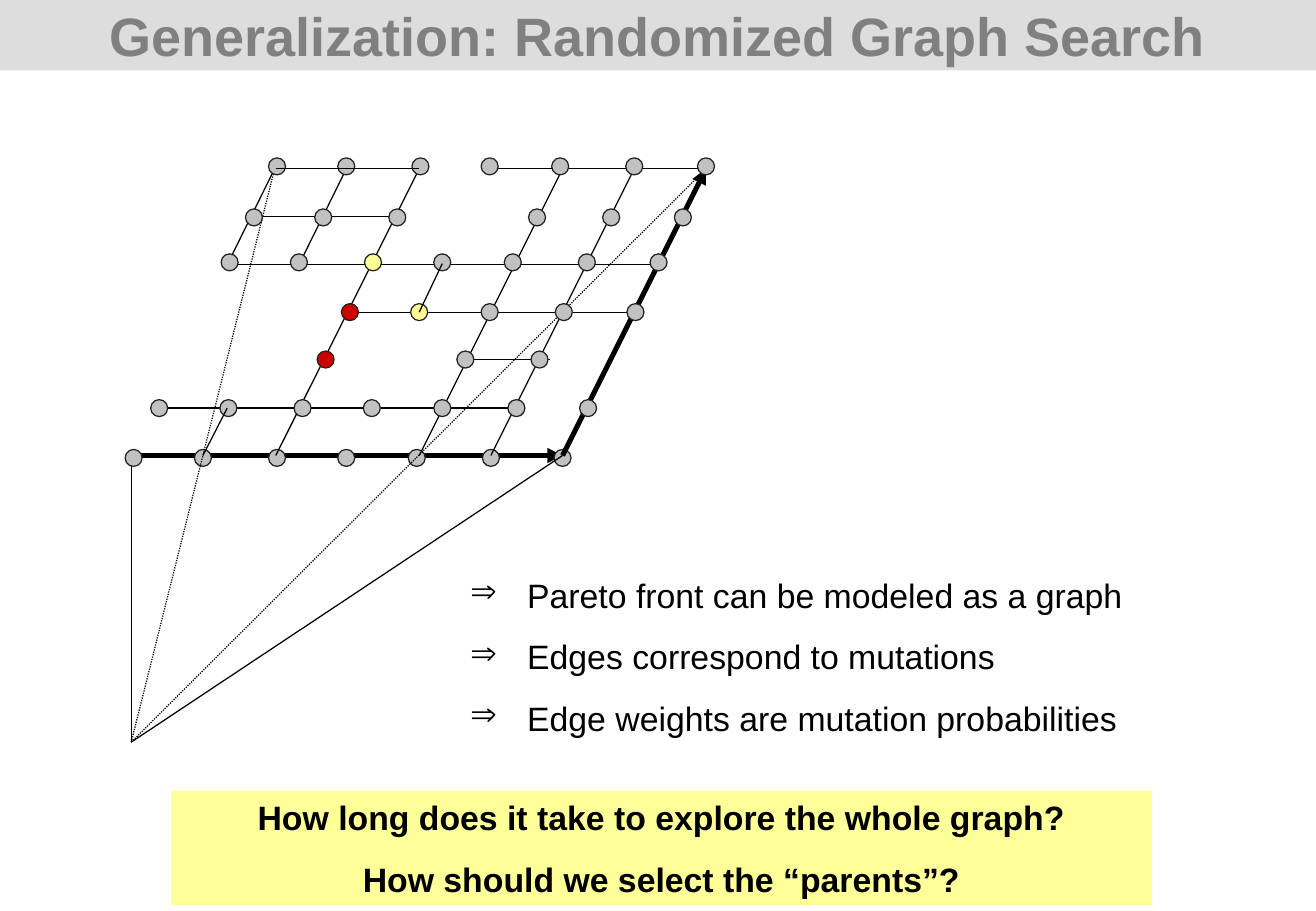
import pptx
import pptx.util
import pptx.dml.color
import pptx.enum.dml
import pptx.enum.shapes
import pptx.enum.text
import pptx.oxml
from pptx.oxml.ns import qn

Inches, Pt = pptx.util.Inches, pptx.util.Pt
SHAPES = pptx.enum.shapes.MSO_SHAPE
ALIGN = pptx.enum.text.PP_ALIGN
COLORS = {"bar": "DDDDDD", "title": "808080", "black": "000000", "outline": "25221E",
          "node": "C2C1C1", "yellow": "FFFF99", "red": "CC0000"}
NODE_KINDS = {"g": "node", "y": "yellow", "r": "red"}

# Each row of the slanted grid: left of its first column, top, and its nodes (. = none)
NODE_SIZE = 0.14
COLUMN_OFFSETS = [0, 0.57, 1.18, 1.75, 2.33, 2.94, 3.53]
NODE_ROWS = [
    (1.13, 0, "ggggggg"),
    (0.94, 0.42, "ggg.ggg"),
    (0.74, 0.79, "ggygggg"),
    (0.55, 1.2, "..ryggg"),
    (0.35, 1.59, "..r.gg."),
    (0.16, 1.99, "ggggggg"),
    (-0.05, 2.4, "ggggggg"),
]

# Line ends, measured from the left and top of the graph
ORIGIN, NEAR_LEFT, NEAR_RIGHT = (0, 4.81), (0, 2.45), (3.55, 2.45)
FAR_LEFT, FAR_RIGHT = (1.18, 0.09), (4.73, 0.09)
GRID_EDGES = [
    ((0.79, 0.88), FAR_LEFT), ((2.96, 0.09), FAR_RIGHT), ((2.76, 1.66), (3.45, 1.66)),
    ((0.79, 0.88), (4.33, 0.88)), ((0.2, 2.06), (3.15, 2.06)), ((1.78, 1.27), (4.14, 1.27)),
    ((0.99, 0.48), (2.17, 0.48)), ((1.38, 0.88), (1.77, 0.09)), ((1.19, 2.45), (2.37, 0.09)),
    ((2.96, 2.45), (4.14, 0.09)), ((2.37, 2.45), (3.55, 0.09)),
]
TOP_EDGES = [((0.59, 2.45), (0.79, 2.06)), ((1.19, 0.09), (2.37, 0.09)),
             ((2.37, 1.27), (2.56, 0.87))]


def rgb(name):
    return pptx.dml.color.RGBColor.from_string(COLORS[name])


def add_filled(page, kind, left, top, width, height, fill):
    shape = page.shapes.add_shape(kind, Inches(left), Inches(top), Inches(width), Inches(height))
    shape.shadow.inherit = False
    shape.fill.solid()
    shape.fill.fore_color.rgb = rgb(fill)
    shape.line.fill.background()
    return shape


def add_line(page, left, top, ends, width=0.75, dotted=False, arrow=False):
    """Draw a line whose ends are measured from left and top."""
    (x1, y1), (x2, y2) = ends
    line = page.shapes.add_connector(
        pptx.enum.shapes.MSO_CONNECTOR.STRAIGHT,
        Inches(left + x1), Inches(top + y1), Inches(left + x2), Inches(top + y2))
    line.line.width = Pt(width)
    line.line.color.rgb = rgb("black")
    if dotted:
        line.line.dash_style = pptx.enum.dml.MSO_LINE.ROUND_DOT
    if arrow:
        head = pptx.oxml.xmlchemy.OxmlElement("a:tailEnd")
        head.set("type", "triangle")
        line.line._get_or_add_ln().append(head)
    line._element.spPr.append(pptx.oxml.xmlchemy.OxmlElement("a:effectLst"))


def add_nodes(page, left, top, rows):
    for row_left, row_top, kinds in rows:
        for offset, kind in zip(COLUMN_OFFSETS, kinds):
            if kind == ".":
                continue
            node = add_filled(page, SHAPES.OVAL, left + row_left + offset, top + row_top,
                              NODE_SIZE, NODE_SIZE, NODE_KINDS[kind])
            node.line.color.rgb = rgb("outline")
            node.line.width = Pt(0)


def write_lines(shape, lines, size, color="black", bold=False, align=ALIGN.CENTER, bullet=None):
    frame = shape.text_frame
    frame.word_wrap = True
    for index, text in enumerate(lines):
        para = frame.paragraphs[0] if index == 0 else frame.add_paragraph()
        para.alignment = align
        if index:
            para.space_before = Pt(12.5)
        if bullet:
            props = para._p.get_or_add_pPr()
            props.set("marL", str(Inches(0.47)))
            props.set("indent", str(-Inches(0.47)))
            mark = pptx.oxml.xmlchemy.OxmlElement("a:buChar")
            mark.set("char", bullet)
            props.append(mark)
        span = para.add_run()
        span.text = text
        span.font.name = "Arial"
        span.font.size = Pt(size)
        span.font.bold = bold
        span.font.color.rgb = rgb(color)


def add_title(page, left, top, width, height):
    bar = add_filled(page, SHAPES.RECTANGLE, left, top, width, height, "bar")
    bar.text_frame.vertical_anchor = pptx.enum.text.MSO_ANCHOR.MIDDLE
    write_lines(bar, ["Generalization: Randomized Graph Search"], 32, "title", bold=True)


def add_graph(page, left, top):
    """Draw the slanted node grid and the lines of sight from the origin."""
    add_line(page, left, top, (NEAR_LEFT, NEAR_RIGHT), width=3, arrow=True)
    add_nodes(page, left, top, NODE_ROWS[-1:])
    for corner in (FAR_RIGHT, FAR_LEFT):
        add_line(page, left, top, (ORIGIN, corner), dotted=True)
    add_line(page, left, top, (NEAR_RIGHT, FAR_RIGHT), width=3, arrow=True)
    for ends in GRID_EDGES:
        add_line(page, left, top, ends)
    add_nodes(page, left, top, NODE_ROWS[:-1])
    for ends in [(ORIGIN, (0, 2.54)), (ORIGIN, NEAR_RIGHT)] + TOP_EDGES:
        add_line(page, left, top, ends)


def add_findings(page, left, top, width, height):
    box = page.shapes.add_textbox(Inches(left), Inches(top), Inches(width), Inches(height))
    write_lines(box, ["Pareto front can be modeled as a graph", "Edges correspond to mutations",
                      "Edge weights are mutation probabilities"],
                20, align=ALIGN.LEFT, bullet="⇒")


def add_questions(page, left, top, width, height):
    panel = add_filled(page, SHAPES.RECTANGLE, left, top, width, height, "yellow")
    panel.text_frame.vertical_anchor = pptx.enum.text.MSO_ANCHOR.TOP
    write_lines(panel, ["How long does it take to explore the whole graph?",
                        "How should we select the “parents”?"], 20, bold=True)


def main():
    deck = pptx.Presentation()
    deck.slide_width, deck.slide_height = Inches(10.83), Inches(7.5)
    page = deck.slides.add_slide(deck.slide_layouts[6])
    add_title(page, 0, 0, 10.83, 0.58)
    add_graph(page, 1.08, 1.3)
    add_findings(page, 3.77, 4.68, 6.37, 1.45)
    add_questions(page, 1.41, 6.51, 8.07, 0.94)
    deck.save("out.pptx")


if __name__ == "__main__":
    main()
